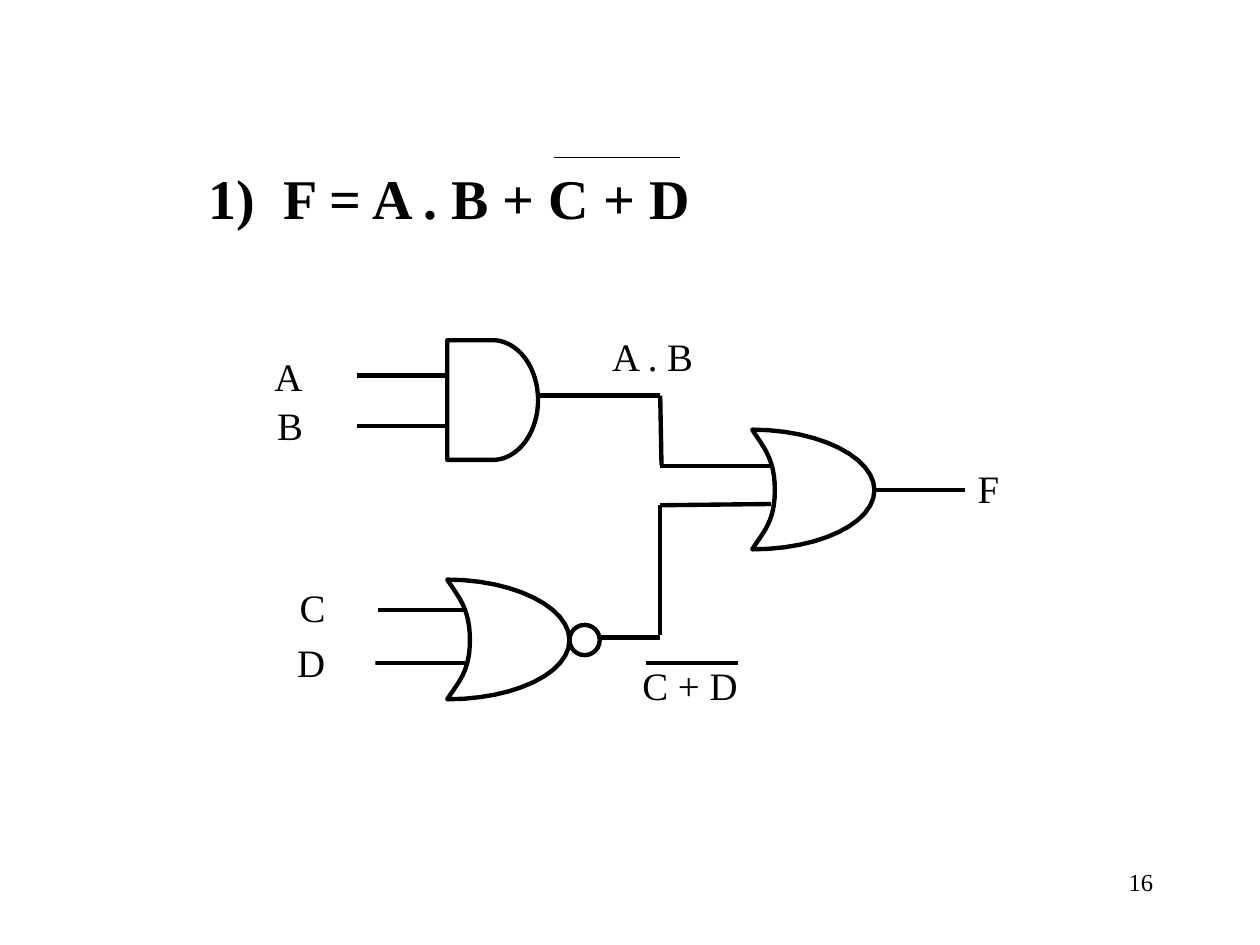
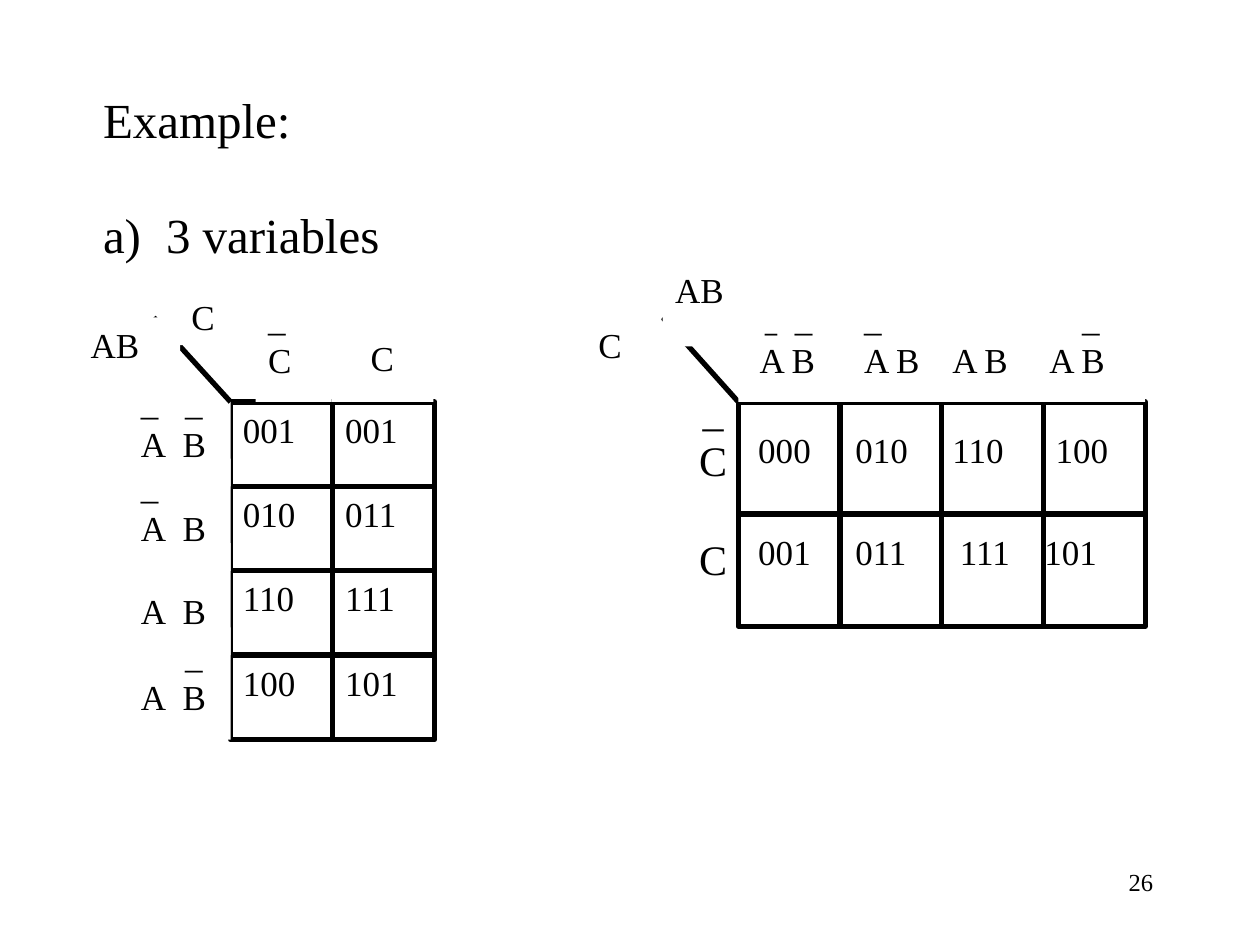
from pptx import Presentation
from pptx.dml.color import RGBColor
from pptx.enum.shapes import MSO_CONNECTOR, MSO_SHAPE
from pptx.enum.text import MSO_ANCHOR, PP_ALIGN
from pptx.oxml.ns import qn
from pptx.util import Inches, Pt
from lxml.etree import SubElement

COLOURS = {"ink": "000000", "paper": "FFFFFF"}
FONT = "Times New Roman"
GATE_START = (0, 0.95)
GATE_CURVES = [
    ((0.09, 0.81), (0.18, 0.73), (0.18, 0.48)),
    ((0.18, 0.23), (0.09, 0.14), (0, 0)),
    ((0.53, 0), (0.97, 0.22), (0.97, 0.48)),
    ((0.97, 0.74), (0.54, 0.95), (0, 0.95)),
]
CURVE_STEPS = 12


def colour(name):
    return RGBColor.from_string(COLOURS[name])


def curve_points(start, curves):
    for first, second, end in curves:
        for step in range(1, CURVE_STEPS + 1):
            t = step / CURVE_STEPS
            weights = ((1 - t) ** 3, 3 * t * (1 - t) ** 2, 3 * t * t * (1 - t), t ** 3)
            corners = (start, first, second, end)
            yield tuple(sum(w * c[axis] for w, c in zip(weights, corners)) for axis in (0, 1))
        start = end


class Sketch:
    def __init__(self, deck):
        self.deck = deck
        self.page = None
        self.weight = 2.5

    def new_page(self, number, weight):
        self.page = self.deck.slides.add_slide(self.deck.slide_layouts[6])
        self.weight = weight
        self.textbox((7.17, 6.83, 2.08, 0.5), [str(number)], 14, align=PP_ALIGN.RIGHT)

    def fill_text(self, shape, lines, size, bold=False, align=PP_ALIGN.LEFT, top=0.05, gap=0,
                  wrap=True):
        frame = shape.text_frame
        settings = {
            "word_wrap": wrap, "vertical_anchor": MSO_ANCHOR.TOP,
            "margin_left": Inches(0.1), "margin_right": Inches(0.1),
            "margin_top": Inches(top), "margin_bottom": Inches(0.05),
        }
        for name, value in settings.items():
            setattr(frame, name, value)
        for index, line in enumerate(lines):
            words, stops = line if isinstance(line, tuple) else (line, ())
            para = frame.add_paragraph() if index else frame.paragraphs[0]
            para.alignment = align
            if gap and index == len(lines) - 1:
                para.space_before = Pt(gap)
            if stops:
                tabs = SubElement(para._p.get_or_add_pPr(), qn("a:tabLst"))
                for stop in stops:
                    SubElement(tabs, qn("a:tab"), pos=str(Inches(stop)), algn="l")
            span = para.add_run()
            span.text = words
            for name, value in {"name": FONT, "size": Pt(size), "bold": bold}.items():
                setattr(span.font, name, value)
            span.font.color.rgb = colour("ink")

    def paint(self, shape, outlined):
        shape.shadow.inherit = False
        shape.fill.solid()
        shape.fill.fore_color.rgb = colour("paper")
        if outlined:
            shape.line.color.rgb = colour("ink")
            shape.line.width = Pt(self.weight)
        else:
            shape.line.fill.background()

    def shape(self, kind, place, outlined=True):
        shape = self.page.shapes.add_shape(kind, *map(Inches, place))
        self.paint(shape, outlined)
        return shape

    def textbox(self, place, lines, size, **style):
        self.fill_text(self.page.shapes.add_textbox(*map(Inches, place)), lines, size, **style)

    def panel(self, place, lines, size, outlined=False, **style):
        self.fill_text(self.shape(MSO_SHAPE.RECTANGLE, place, outlined), lines, size, **style)

    def line(self, x1, y1, x2, y2, weight=None):
        line = self.page.shapes.add_connector(
            MSO_CONNECTOR.STRAIGHT, *map(Inches, (x1, y1, x2, y2)))
        line.line.color.rgb = colour("ink")
        line.line.width = Pt(weight or self.weight)
        SubElement(line._element.spPr, qn("a:effectLst"))

    def or_gate(self, left, top):
        def placed(point):
            return Inches(left + point[0]), Inches(top + point[1])

        builder = self.page.shapes.build_freeform(*placed(GATE_START))
        points = [placed(point) for point in curve_points(GATE_START, GATE_CURVES)]
        builder.add_line_segments(points[:-1], close=True)
        self.paint(builder.convert_to_shape(), True)


def circuit_page(sketch):
    sketch.new_page(16, 2.5)
    sketch.textbox((1.33, 1.25, 5.83, 0.64),
                   [("\t1)\tF = A . B + C + D", (0.23, 0.82))], 32, bold=True)
    sketch.or_gate(3.55, 4.6)
    sketch.or_gate(5.97, 3.41)
    sketch.shape(MSO_SHAPE.FLOWCHART_DELAY, (3.55, 2.7, 0.72, 0.95))
    sketch.shape(MSO_SHAPE.FLOWCHART_CONNECTOR, (4.52, 4.96, 0.24, 0.24))
    for left, y in ((2.83, 2.98), (2.83, 3.38), (2.97, 4.84), (2.97, 5.26), (6.95, 3.89)):
        sketch.line(left, y, left + 0.72, y)
    wires = [
        (4.28, 3.14, 5.24, 3.14), (5.24, 3.14, 5.25, 3.69), (5.24, 3.7, 6.13, 3.7),
        (4.76, 5.06, 5.24, 5.06), (5.24, 4.01, 5.24, 5.04), (5.24, 4.01, 6.12, 4),
    ]
    for wire in wires:
        sketch.line(*wire)
    labels = [
        ("A", 2.08, 2.75, 0.72), ("B", 2.1, 3.14, 0.72), ("C", 2.28, 4.58, 0.72),
        ("D", 2.26, 5.02, 0.72), ("F", 7.66, 3.64, 0.72),
        ("A . B", 4.76, 2.59, 1.21), ("C + D", 5, 5.2, 1.21),
    ]
    for words, left, top, width in labels:
        sketch.panel((left, top, width, 0.47), [words], 22.2)
    sketch.line(5.13, 5.26, 5.86, 5.26)
    sketch.line(4.4, 1.25, 5.4, 1.25, weight=0.75)


def tall_map(sketch, left, top, cell_width, cell_height):
    values = [("001", "001"), ("010", "011"), ("110", "111"), ("100", "101")]
    for row, pair in enumerate(values):
        for column, value in enumerate(pair):
            place = (left + column * cell_width, top + row * cell_height, cell_width, cell_height)
            sketch.panel(place, [value], 20, outlined=True)
    bars = [("_\t_", (0.35,)), "_", None, ("\t_", (0.35,))]
    for row, bar in enumerate(bars):
        letters = ("A\tB", (0.33,))
        place = (left - cell_width, top - 0.22 + row * cell_height, cell_width, 0.89)
        sketch.panel(place, [bar, letters] if bar else [letters], 20, top=0.05 if bar else 0.37)
    sketch.line(left, top, left - 0.61, top - 0.67)
    sketch.panel((0.62, 2.52, 0.81, 0.44), ["AB"], 20)
    sketch.panel((1.42, 2.3, 0.6, 0.44), ["C"], 20)
    sketch.panel((2.03, 2.3, 0.6, 0.89), ["_", "C"], 20)
    sketch.panel((2.63, 2.3, 0.81, 0.89), ["C"], 20, align=PP_ALIGN.CENTER, top=0.37)


def wide_map(sketch, left, top, width, height):
    rows = [("\t000\t010\t110\t100", (0.06, 0.83, 1.6, 2.42)),
            ("\t001\t011\t111\t101", (0.06, 0.83, 1.66, 2.33))]
    sketch.panel((left, top, width, height), rows, 20, outlined=True, top=0.21, gap=34.5)
    sketch.line(left, top + height / 2, left + width, top + height / 2)
    for column in range(1, 4):
        x = left + column * width / 4
        sketch.line(x, top, x, top + height)
    sketch.line(left, top, left - 0.6, top - 0.67)
    sketch.panel((4.65, 2.52, 0.6, 0.67), ["C"], 20)
    headings = [("\t_\t_\t_\t_", (0.07, 0.35, 0.9, 2.63)),
                ("\tA B\tA B\tA B\tA B", (0.07, 0.9, 1.6, 2.37))]
    sketch.panel((left, 2.3, width, 0.89), headings, 20)
    sketch.panel((5.26, 2.08, 0.81, 0.67), ["AB"], 20)


def map_page(sketch):
    sketch.new_page(26, 3)
    tall_map(sketch, 1.83, 3.19, 0.81, 0.67)
    wide_map(sketch, 5.86, 3.19, 3.23, 1.78)
    sketch.textbox((0.72, 0.66, 4.4, 1.5),
                   ["Example:", ("a)\t3 variables", (0.5,))], 28, gap=32)
    sketch.textbox((5.45, 3, 0.42, 1.7), ["_", "C", "C"], 24,
                   align=PP_ALIGN.CENTER, gap=27.5, wrap=False)


deck = Presentation()
deck.slide_width = Inches(10)
deck.slide_height = Inches(7.5)
sketch = Sketch(deck)
circuit_page(sketch)
map_page(sketch)
deck.save("out.pptx")
